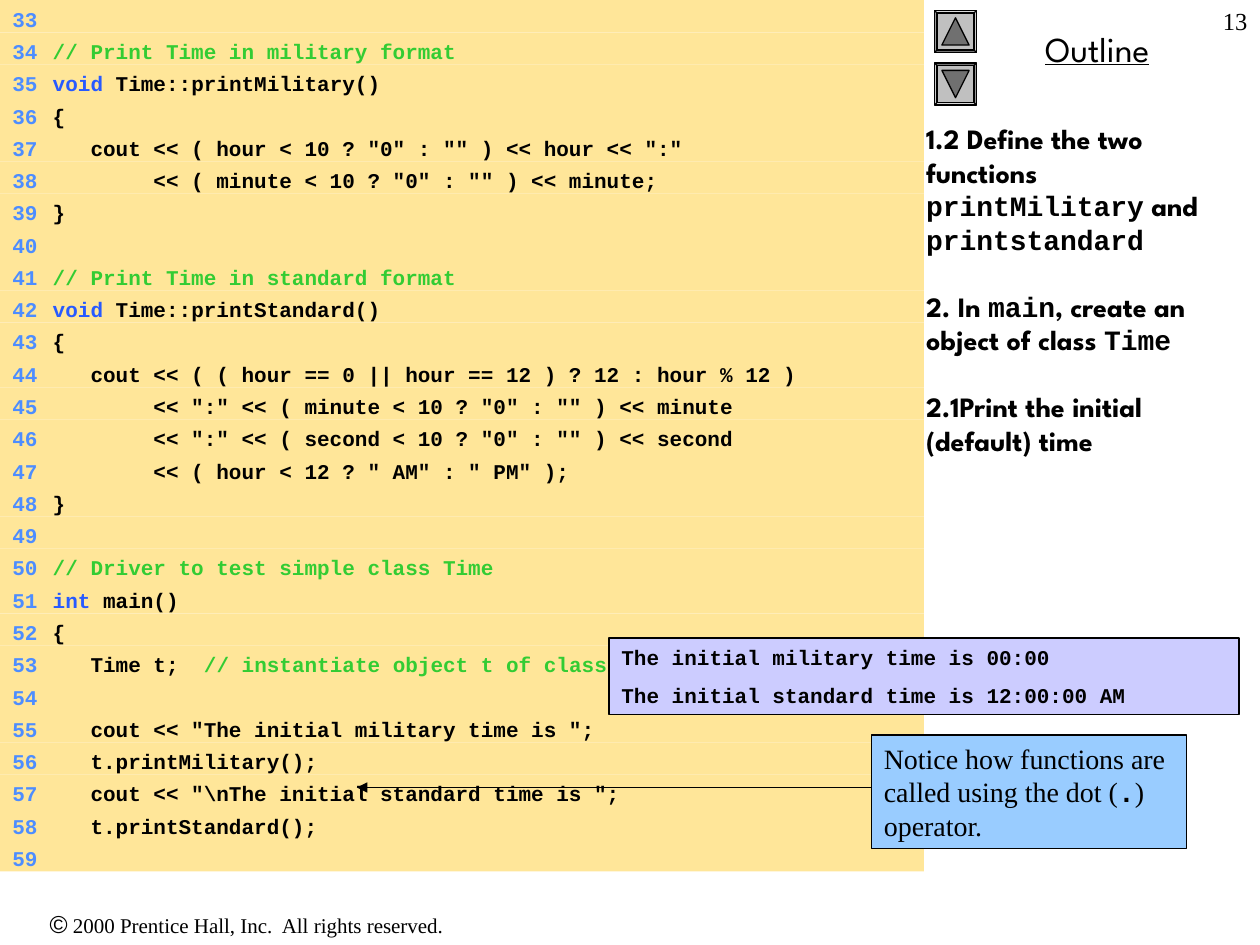
"""Build the slide of numbered code, outline notes and call-outs."""
from dataclasses import dataclass
from typing import Optional

import pptx
import pptx.util
import pptx.dml.color
import pptx.enum.shapes
import pptx.enum.text
import pptx.oxml.ns
from lxml import etree

Shape = pptx.enum.shapes.MSO_SHAPE
Align = pptx.enum.text.PP_ALIGN
HEX = {
    "black": "000000", "sand": "FFE699", "number": "4D8DFF", "note": "33CC33",
    "key": "275AFF", "sky": "99CCFF", "lilac": "CCCCFF", "gray": "C0C0C0", "dark": "707070",
}
MONO, SERIF, SANS = "Courier New", "Times New Roman", "League Spartan"
WIDE, HIGH = 10, 7.5
COLS, ROWS = 120, 90
FIRST = 33
STOPS = ((0.15, "r"), (0.32, "l"))
KEYS = ("void", "int")
CODE = r'''
// Print Time in military format
void Time::printMilitary()
{
   cout << ( hour < 10 ? "0" : "" ) << hour << ":"
        << ( minute < 10 ? "0" : "" ) << minute;
}

// Print Time in standard format
void Time::printStandard()
{
   cout << ( ( hour == 0 || hour == 12 ) ? 12 : hour % 12 )
        << ":" << ( minute < 10 ? "0" : "" ) << minute
        << ":" << ( second < 10 ? "0" : "" ) << second
        << ( hour < 12 ? " AM" : " PM" );
}

// Driver to test simple class Time
int main()
{
   Time t;  // instantiate object t of class Time

   cout << "The initial military time is ";
   t.printMilitary();
   cout << "\nThe initial standard time is ";
   t.printStandard();
'''.split("\n")


@dataclass
class Cell:
    """A block of the slide grid, in columns and rows."""
    col: float
    row: float
    cols: float
    rows: float

    def frame(self) -> tuple:
        return (across(self.col), down(self.row), across(self.cols), down(self.rows))


@dataclass
class Bit:
    """A stretch of text that may differ from the format of its box."""
    text: str
    font: Optional[str] = None
    color: Optional[str] = None
    bold: Optional[bool] = None
    size: Optional[float] = None


def across(cols: float) -> int:
    """Turn columns into a length."""
    return pptx.util.Inches(WIDE * cols / COLS)


def down(rows: float) -> int:
    """Turn rows into a length."""
    return pptx.util.Inches(HIGH * rows / ROWS)


def tint(name: str) -> pptx.dml.color.RGBColor:
    """Look up a colour."""
    return pptx.dml.color.RGBColor.from_string(HEX[name])


def write(box, text: list, *, size: float, font: str, color: str = "black", bold: bool = False,
          line: bool = False, align=Align.LEFT, gap: float = 0, stops: tuple = ()) -> None:
    """Fill a box with paragraphs, each a list of bits."""
    frame = box.text_frame
    frame.word_wrap = True
    frame.auto_size = pptx.enum.text.MSO_AUTO_SIZE.NONE
    frame.vertical_anchor = pptx.enum.text.MSO_ANCHOR.TOP
    for rank, bits in enumerate(text):
        para = frame.add_paragraph() if rank else frame.paragraphs[0]
        para.alignment = align
        if rank:
            para.space_before = pptx.util.Pt(gap)
        if stops:
            tabs = etree.SubElement(para._p.get_or_add_pPr(), pptx.oxml.ns.qn("a:tabLst"))
            for place, side in stops:
                etree.SubElement(tabs, pptx.oxml.ns.qn("a:tab"),
                                 pos=str(pptx.util.Inches(place)), algn=side)
        for bit in bits:
            run = para.add_run()
            run.text = bit.text
            run.font.name = bit.font or font
            run.font.size = pptx.util.Pt(bit.size or size)
            run.font.bold = bold if bit.bold is None else bit.bold
            run.font.underline = line
            run.font.color.rgb = tint(bit.color or color)


def block(slide, cell: Cell, fill: str, *, kind=Shape.RECTANGLE, edge: bool = True, turn: float = 0):
    """Draw a filled preset shape."""
    shape = slide.shapes.add_shape(kind, *cell.frame())
    shape.shadow.inherit = False
    shape.rotation = turn
    shape.fill.solid()
    shape.fill.fore_color.rgb = tint(fill)
    if edge:
        shape.line.color.rgb = tint("black")
        shape.line.width = pptx.util.Pt(0.75)
    else:
        shape.line.fill.background()
    return shape


def label(slide, cell: Cell, bits: list, **form) -> None:
    """Add a plain text box."""
    write(slide.shapes.add_textbox(*cell.frame()), [bits], **form)


def button(slide, row: float, turn: float) -> None:
    """Draw a square bevelled button with a triangle."""
    bevel = block(slide, Cell(89, row, 4, 4), "gray", kind=Shape.BEVEL, turn=turn + 90)
    bevel.adjustments[0] = 0.06
    block(slide, Cell(89.7, row + 0.7, 2.6, 2.6), "dark", kind=Shape.ISOSCELES_TRIANGLE, turn=turn)


def parse(code: str) -> list:
    """Split a code line into keyword, plain code and comment."""
    plain, mark, rest = code.partition("//")
    key = next((word for word in KEYS if plain.startswith(word + " ")), "")
    bits = [Bit(key, color="key"), Bit(plain[len(key):]), Bit(mark + rest, color="note")]
    return [bit for bit in bits if bit.text]


def listing(slide) -> None:
    """Draw the numbered code, one bar a line."""
    step = 83 / len(CODE)
    for rank, code in enumerate(CODE):
        bar = block(slide, Cell(0, rank * step, 88, step), "sand", edge=False)
        count = Bit(f"\t{FIRST + rank}\t", color="number")
        write(bar, [[count, *parse(code)]], size=12, font=MONO, bold=True, stops=STOPS)


def arrow(slide, start: tuple, end: tuple) -> None:
    """Draw a thin line with an arrowhead at its end."""
    link = slide.shapes.add_connector(pptx.enum.shapes.MSO_CONNECTOR.STRAIGHT,
                                      across(start[0]), down(start[1]), across(end[0]), down(end[1]))
    link.line.color.rgb = tint("black")
    link.line.width = pptx.util.Pt(0.75)
    etree.SubElement(link.line._get_or_add_ln(), pptx.oxml.ns.qn("a:tailEnd"), type="triangle")
    etree.SubElement(link._element.spPr, pptx.oxml.ns.qn("a:effectLst"))


def main() -> None:
    """Build and save the slide."""
    deck = pptx.Presentation()
    deck.slide_width, deck.slide_height = pptx.util.Inches(WIDE), pptx.util.Inches(HIGH)
    slide = deck.slides.add_slide(deck.slide_layouts[5])

    label(slide, Cell(0, 86, 47, 4),
          [Bit("©", font="Arial", size=14), Bit(" 2000 Prentice Hall, Inc.  All rights reserved.")],
          size=12, font=SERIF, align=Align.CENTER)
    label(slide, Cell(89, 2, 31, 5.25), [Bit("Outline")],
          size=20, font=SANS, line=True, align=Align.CENTER)
    button(slide, 1, 0)
    button(slide, 6, 180)
    listing(slide)

    hint = block(slide, Cell(83, 70, 30, 10.8), "sky")
    write(hint, [[Bit("Notice how functions are called using the dot ("),
                  Bit(".", font=MONO, bold=True), Bit(") operator.")]], size=16, font=SERIF)
    arrow(slide, (83, 75), (34, 75))

    title = slide.shapes.title
    title.left, title.top, title.width, title.height = Cell(87, 11, 31, 79).frame()
    write(title, [
        [Bit("1.2 Define the two functions "), Bit("printMilitary", font=MONO),
         Bit(" and "), Bit("printstandard", font=MONO)],
        [Bit("2. In "), Bit("main", font=MONO),
         Bit(", create an object of class "), Bit("Time", font=MONO)],
        [Bit("2.1Print the initial (default) time")],
    ], size=16, font=SANS, bold=True, gap=19)

    result = block(slide, Cell(58, 60.75, 60, 7.3), "lilac")
    write(result, [[Bit("The initial military time is 00:00")],
                   [Bit("The initial standard time is 12:00:00 AM")]],
          size=12, font=MONO, bold=True, gap=7.5)
    label(slide, Cell(95, 0, 25, 6), [Bit("13")], size=14, font=SERIF, align=Align.RIGHT)
    deck.save("out.pptx")


if __name__ == "__main__":
    main()
